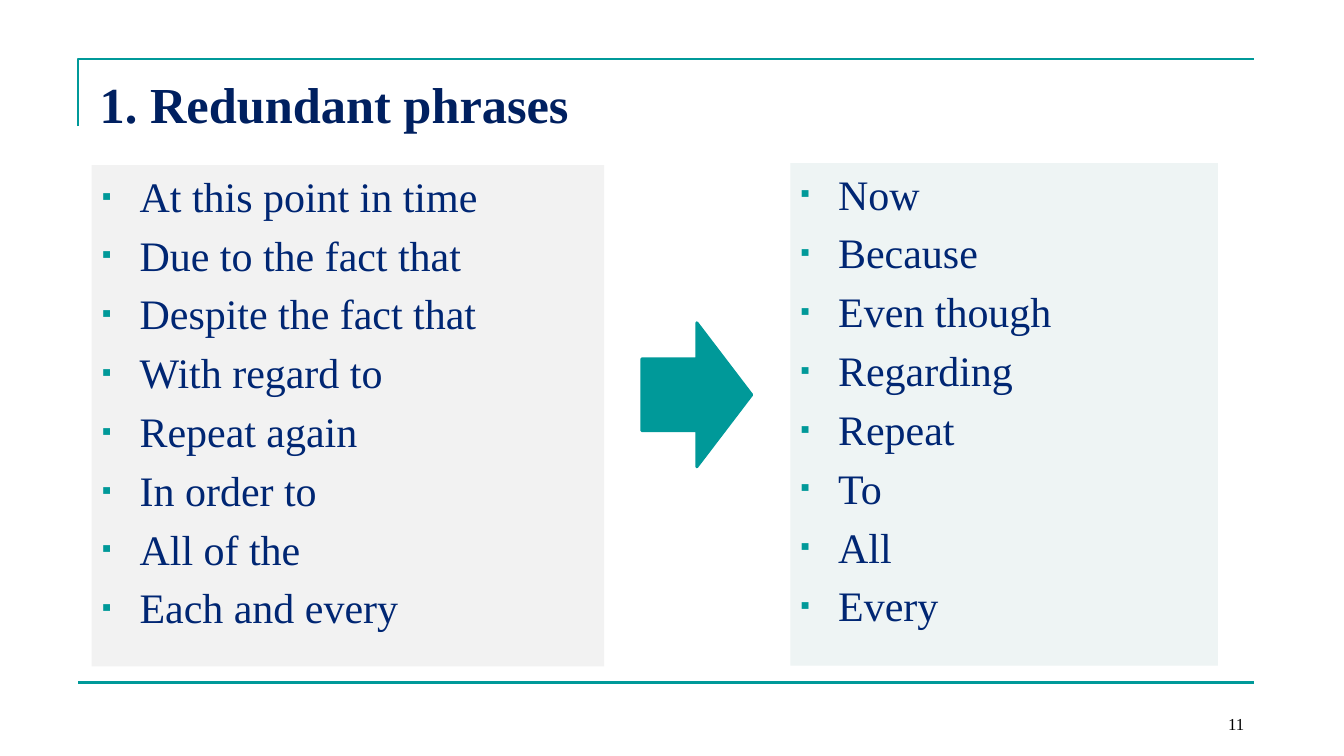
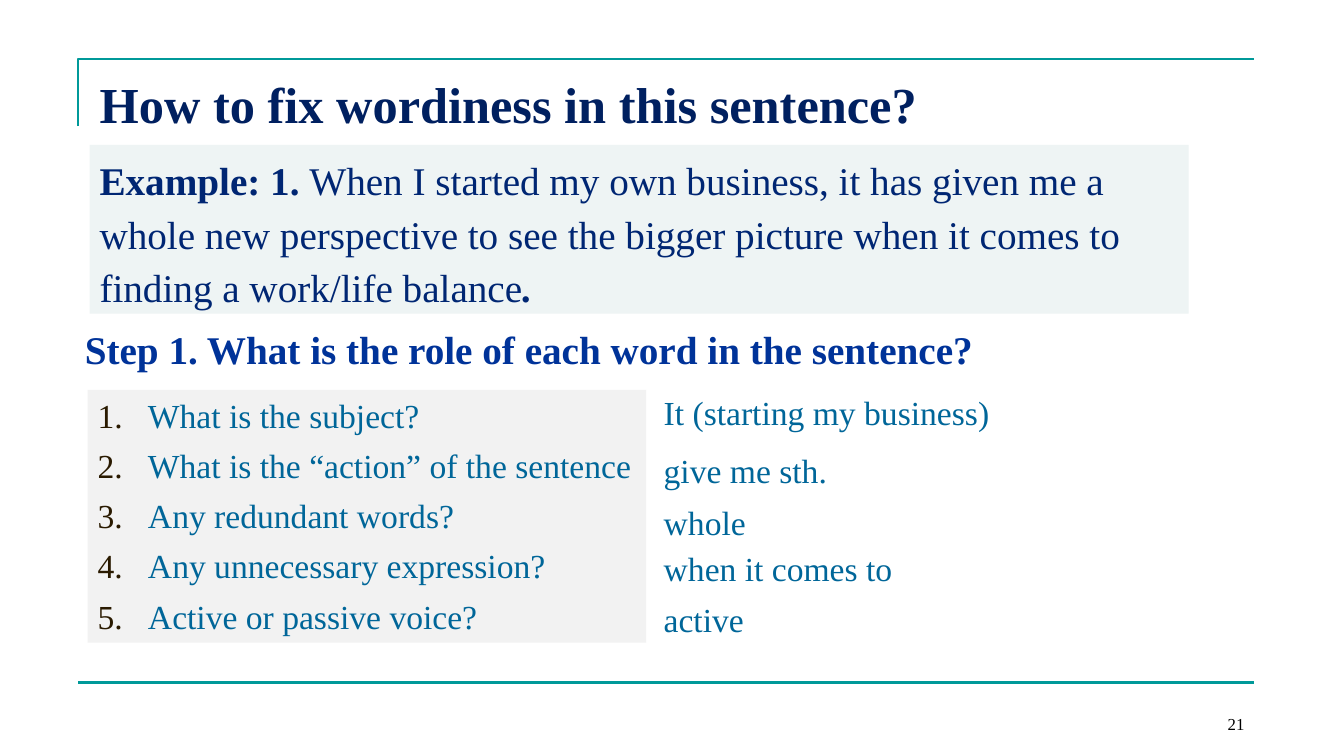
"""Build two lesson slides about cutting wordy phrases."""
from dataclasses import dataclass

from lxml.etree import SubElement
from pptx import Presentation
from pptx.dml.color import RGBColor
from pptx.enum.shapes import MSO_CONNECTOR, MSO_SHAPE
from pptx.enum.text import MSO_ANCHOR, MSO_AUTO_SIZE, PP_ALIGN
from pptx.oxml.ns import qn
from pptx.util import Pt


@dataclass(frozen=True)
class Theme:
    """Colours, typeface and type sizes of the deck."""

    font: str = "Times New Roman"
    teal: str = "009999"
    title: str = "002060"
    body: str = "002673"
    step: str = "003399"
    question: str = "006699"
    numeral: str = "2A1A00"
    black: str = "000000"
    grey_panel: str = "F2F2F2"
    mint_panel: str = "EEF4F4"
    title_size: int = 36
    list_size: int = 30
    lead_size: int = 28
    question_size: int = 24
    number_size: int = 12


THEME = Theme()
FRAME_LEFT, FRAME_TOP, FRAME_RIGHT, FRAME_BOTTOM = 56, 42, 896, 487.5
BULLET_INDENT, NUMBER_INDENT = 27, 36
TWO_LISTS_LAYOUT, ONE_LIST_LAYOUT = 3, 1

WORDY = ["At this point in time", "Due to the fact that", "Despite the fact that",
         "With regard to", "Repeat again", "In order to", "All of the", "Each and every"]
CONCISE = ["Now", "Because", "Even though", "Regarding", "Repeat", "To", "All", "Every"]
EXAMPLE = [
    ("Example: 1. ", True, False),
    ("When I started my own business, it has given me a whole new perspective to see "
     "the bigger picture when it comes to finding a work/life balance", False, False),
    (".", True, True),
]
QUESTIONS = ["What is the subject?", "What is the “action” of the sentence",
             "Any redundant words?", "Any unnecessary expression?",
             "Active or passive voice?"]
ANSWERS = [("It (starting my business)", 276.5), ("give me sth.", 317.5),
           ("whole", 355), ("when it comes to", 388), ("active", 424)]


def colour(code):
    """Turn a hex code into a colour."""
    return RGBColor.from_string(code)


def place(shape, left, top, width, height):
    """Move and size a shape in points."""
    shape.left, shape.top = Pt(left), Pt(top)
    shape.width, shape.height = Pt(width), Pt(height)


def paint(shape, code):
    """Fill a shape with one colour."""
    shape.fill.solid()
    shape.fill.fore_color.rgb = colour(code)


def outline(shape, width):
    """Draw the line of a shape in teal."""
    shape.line.color.rgb = colour(THEME.teal)
    shape.line.width = Pt(width)


def style(paragraph, size, code, bold=None):
    """Set the typeface, size, colour and weight of a paragraph."""
    font = paragraph.font
    font.name, font.size, font.bold = THEME.font, Pt(size), bold
    font.color.rgb = colour(code)


def prepare(box, anchor=MSO_ANCHOR.TOP):
    """Make the text of a box wrap at a fixed size and return its frame."""
    frame = box.text_frame
    frame.word_wrap = True
    frame.auto_size = MSO_AUTO_SIZE.NONE
    frame.vertical_anchor = anchor
    return frame


def mark(paragraph, code, indent, numbered):
    """Give a paragraph a hanging square bullet or number."""
    properties = paragraph._p.get_or_add_pPr()
    properties.set("marL", str(Pt(indent)))
    properties.set("indent", str(-Pt(indent)))
    SubElement(SubElement(properties, qn("a:buClr")), qn("a:srgbClr"), val=code)
    if numbered:
        SubElement(properties, qn("a:buFont"), typeface=THEME.font)
        SubElement(properties, qn("a:buAutoNum"), type="arabicPeriod")
    else:
        SubElement(properties, qn("a:buSzPct"), val="65000")
        SubElement(properties, qn("a:buFont"), typeface="Arial")
        SubElement(properties, qn("a:buChar"), char="▪")


def fill_list(box, items, panel, numbered=False):
    """Write a bulleted or numbered list in a coloured placeholder."""
    paint(box, panel)
    frame = prepare(box)
    frame.text = "\n".join(items)
    for paragraph in frame.paragraphs:
        if numbered:
            paragraph.space_before = Pt(7)
            mark(paragraph, THEME.numeral, NUMBER_INDENT, numbered)
            style(paragraph, THEME.question_size, THEME.question)
        else:
            mark(paragraph, THEME.teal, BULLET_INDENT, numbered)
            style(paragraph, THEME.list_size, THEME.body)


def add_text(page, text, area, size, code, bold=None, anchor=MSO_ANCHOR.TOP):
    """Add a one-paragraph text box and return the paragraph."""
    box = page.shapes.add_textbox(*map(Pt, area))
    paragraph = prepare(box, anchor).paragraphs[0]
    paragraph.text = text
    style(paragraph, size, code, bold)
    return paragraph


def add_frame(page):
    """Draw the corner line and the bottom rule."""
    builder = page.shapes.build_freeform(Pt(FRAME_LEFT), Pt(90))
    builder.add_line_segments(
        [(Pt(FRAME_LEFT), Pt(FRAME_TOP)), (Pt(FRAME_RIGHT), Pt(FRAME_TOP))], close=False)
    corner = builder.convert_to_shape()
    corner.fill.background()
    corner.shadow.inherit = False
    outline(corner, 1.5)
    rule = page.shapes.add_connector(
        MSO_CONNECTOR.STRAIGHT, Pt(FRAME_LEFT), Pt(FRAME_BOTTOM),
        Pt(FRAME_RIGHT), Pt(FRAME_BOTTOM))
    outline(rule, 1.5)
    SubElement(rule._element.spPr, qn("a:effectLst"))


def add_page(deck, layout, title, number):
    """Add a slide with its frame, title and page number."""
    page = deck.slides.add_slide(deck.slide_layouts[layout])
    add_frame(page)
    heading = page.shapes.title
    place(heading, 64, 48.5, 824, 70)
    paragraph = prepare(heading).paragraphs[0]
    paragraph.text = title
    paragraph.alignment = PP_ALIGN.LEFT
    style(paragraph, THEME.title_size, THEME.title, True)
    folio = add_text(page, str(number), (672, 492, 224, 36), THEME.number_size,
                     THEME.black, anchor=MSO_ANCHOR.BOTTOM)
    folio.alignment = PP_ALIGN.RIGHT
    return page


def add_example(page):
    """Add the example sentence on its panel."""
    panel = page.shapes.add_shape(
        MSO_SHAPE.RECTANGLE, Pt(64), Pt(103.5), Pt(785), Pt(120.5))
    panel.shadow.inherit = False
    panel.line.fill.background()
    paint(panel, THEME.mint_panel)
    paragraph = prepare(panel).paragraphs[0]
    paragraph.alignment = PP_ALIGN.LEFT
    paragraph.line_spacing = 1.14
    paragraph.space_before = Pt(7)
    style(paragraph, THEME.lead_size, THEME.body)
    for text, bold, italic in EXAMPLE:
        span = paragraph.add_run()
        span.text = text
        span.font.bold, span.font.italic = bold, italic
        span.font.color.rgb = colour(THEME.body)


def build_phrases(deck):
    """Build the slide that sets wordy phrases beside short ones."""
    page = add_page(deck, TWO_LISTS_LAYOUT, "1. Redundant phrases", 11)
    wordy, concise = page.placeholders[1], page.placeholders[2]
    place(wordy, 65.5, 118, 366, 358)
    place(concise, 564.5, 116.5, 305.5, 359)
    fill_list(wordy, WORDY, THEME.grey_panel)
    fill_list(concise, CONCISE, THEME.mint_panel)
    arrow = page.shapes.add_shape(
        MSO_SHAPE.RIGHT_ARROW, Pt(458.5), Pt(230.5), Pt(78.5), Pt(103))
    arrow.shadow.inherit = False
    paint(arrow, THEME.teal)
    outline(arrow, 2)


def build_exercise(deck):
    """Build the slide that examines one wordy sentence."""
    page = add_page(deck, ONE_LIST_LAYOUT, "How to fix wordiness in this sentence?", 21)
    add_example(page)
    step = add_text(page, "Step 1. What is the role of each word in the sentence?",
                    (53.5, 225.5, 785, 42), THEME.lead_size, THEME.step, True)
    step.line_spacing = 1.1
    step.space_before = Pt(7)
    questions = page.placeholders[1]
    place(questions, 62.5, 278.5, 399, 180.5)
    fill_list(questions, QUESTIONS, THEME.grey_panel, numbered=True)
    for answer, top in ANSWERS:
        add_text(page, answer, (467, top, 485, 36), THEME.question_size, THEME.question)


def main():
    """Build and save the deck."""
    deck = Presentation()
    deck.slide_width, deck.slide_height = Pt(960), Pt(540)
    build_phrases(deck)
    build_exercise(deck)
    deck.save("out.pptx")


if __name__ == "__main__":
    main()
